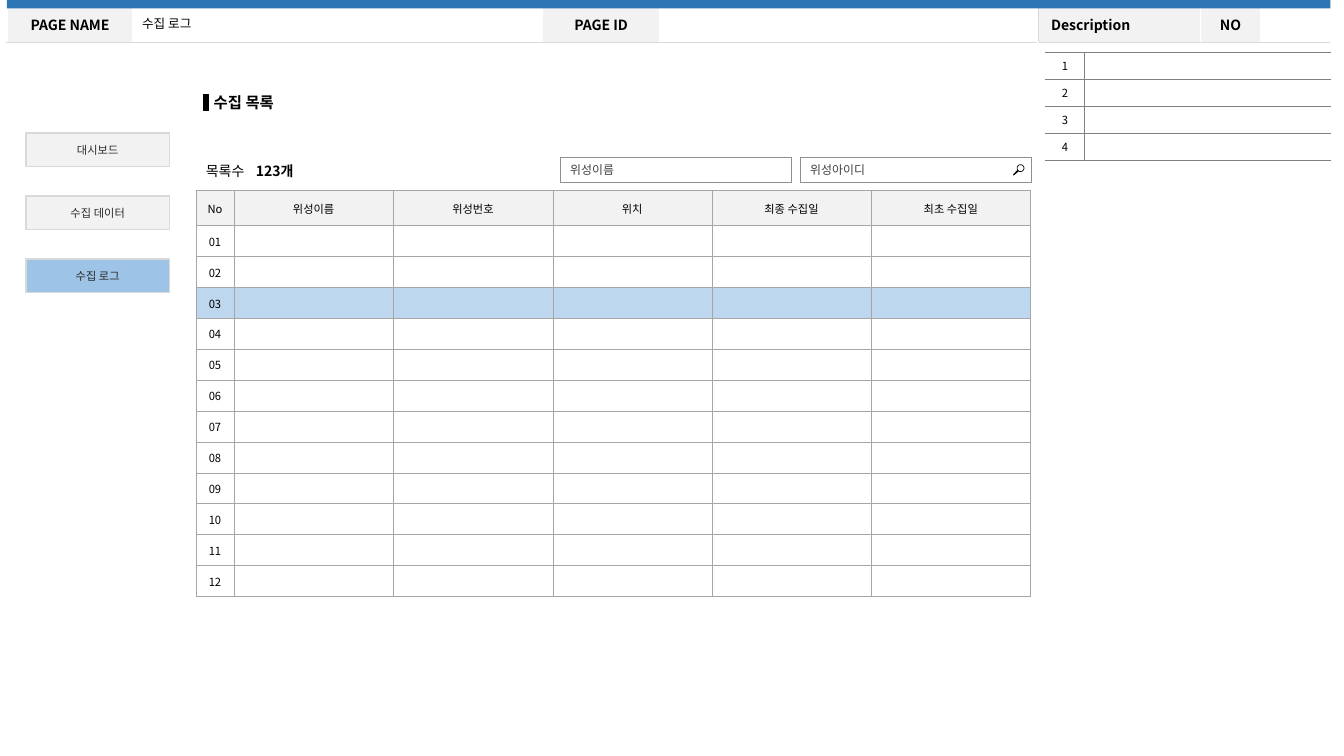
"""Build the collection log screen specification slide."""
import math
from lxml import etree
from pptx import Presentation, util as u
from pptx.dml import color
from pptx.enum import shapes, text
from pptx.oxml import ns

PAGE_NAME = "수집 로그"
HEADING = "수집 목록"
COUNT = [("목록수\t", False), ("123개", True)]
MENU = [("대시보드", "F2F2F2"), ("수집 데이터", "F2F2F2"), ("수집 로그", "9DC3E6")]
SEARCHES = ["위성이름", "위성아이디"]
HEADER = ["PAGE NAME", "", "PAGE ID", "", "Description", "NO", ""]
NOTES = [[str(number), ""] for number in range(1, 5)]
COLUMNS = ["No", "위성이름", "위성번호", "위치", "최종 수집일", "최초 수집일"]
LOG = [COLUMNS] + [[f"{number:02}"] + [""] * 5 for number in range(1, 13)]
SELECTED = 3

FONT = "Noto Sans CJK KR"
WHITE, PALE, BLACK = "FFFFFF", "F2F2F2", "000000"
WHITE_EDGE, PALE_EDGE = (WHITE, 1), ("D9D9D9", 0.25)
NOTE_EDGE, LOG_EDGE = ("808080", 0.25), ("A6A6A6", 0.25)
LEFT, CENTER = text.PP_ALIGN.LEFT, text.PP_ALIGN.CENTER
MIDDLE, TOP = text.MSO_ANCHOR.MIDDLE, text.MSO_ANCHOR.TOP
INSETS = (7.2, 3.6, 7.2, 3.6)
SIDES = ("left", "top", "right", "bottom")


def rgb(hex_code):
    """Turn a hex string into a colour."""
    return color.RGBColor.from_string(hex_code)


def apply(target, values):
    """Set each named attribute of the target."""
    for name, value in values.items():
        setattr(target, name, value)


def margins(insets):
    """Name the four insets as margin attributes."""
    return {f"margin_{side}": u.Pt(inset) for side, inset in zip(SIDES, insets)}


def place(shape, box):
    """Move and size a shape."""
    apply(shape, dict(zip(("left", "top", "width", "height"), map(u.Pt, box))))


def write(frame, runs, size, ink=BLACK, font=FONT, align=LEFT, spacing=1.0):
    """Write (words, bold) runs as the only paragraph."""
    line = frame.paragraphs[0]
    apply(line, {"alignment": align, "line_spacing": spacing, "space_before": u.Pt(0)})
    for words, bold in runs:
        run = line.add_run()
        run.text = words
        apply(run.font, {"size": u.Pt(size), "bold": bold, "name": font})
        run.font.color.rgb = rgb(ink)
        etree.SubElement(run.font._element, ns.qn("a:ea"), typeface=font)
    if not runs:
        etree.SubElement(line._p, ns.qn("a:endParaRPr"), sz=str(size * 100))
    return line


def label(shape, runs, size, anchor=MIDDLE, insets=INSETS, **look):
    """Format the text frame of a shape and write in it."""
    frame = shape.text_frame
    apply(frame, {"word_wrap": True, "auto_size": text.MSO_AUTO_SIZE.NONE,
                  "vertical_anchor": anchor, **margins(insets)})
    return write(frame, runs, size, **look)


def paint(shape, fill, edge=None):
    """Set the fill and the outline."""
    shape.shadow.inherit = False
    shape.fill.solid()
    shape.fill.fore_color.rgb = rgb(fill)
    if edge:
        shape.line.color.rgb = rgb(edge[0])
        shape.line.width = u.Pt(edge[1])
    else:
        shape.line.fill.background()


def block(box, fill, edge=None, kind=shapes.MSO_SHAPE.RECTANGLE):
    """Add a painted preset shape."""
    shape = slide.shapes.add_shape(kind, *map(u.Pt, box))
    paint(shape, fill, edge)
    return shape


def grid(at, widths, heights, rows, size, fill, edges, insets=INSETS, bold=False,
         align=lambda c: CENTER, spacing=1.0):
    """Add a table whose fill, edges and alignment follow cell rules."""
    box = (*at, sum(widths), sum(heights))
    table = slide.shapes.add_table(len(heights), len(widths), *map(u.Pt, box)).table
    apply(table, {"first_row": False, "horz_banding": False})
    for column, width in zip(table.columns, widths):
        column.width = u.Pt(width)
    for r, (height, row) in enumerate(zip(heights, rows)):
        table.rows[r].height = u.Pt(height)
        for c, words in enumerate(row):
            cell = table.cell(r, c)
            apply(cell, {"vertical_anchor": MIDDLE, **margins(insets)})
            write(cell.text_frame, [(words, bold)] if words else [], size,
                  align=align(c), spacing=spacing)
            shade = fill(r, c)
            if shade:
                cell.fill.solid()
                cell.fill.fore_color.rgb = rgb(shade)
            else:
                cell.fill.background()
            border(cell, edges(r, c))
    return table


def border(cell, edges):
    """Draw the left, right, top and bottom edges of a cell."""
    properties = cell._tc.get_or_add_tcPr()
    for position, (side, edge) in enumerate(zip("LRTB", edges)):
        line = etree.Element(ns.qn(f"a:ln{side}"), w=str(u.Pt(edge[1] if edge else 0)))
        if edge:
            solid = etree.SubElement(line, ns.qn("a:solidFill"))
            etree.SubElement(solid, ns.qn("a:srgbClr"), val=edge[0])
        else:
            etree.SubElement(line, ns.qn("a:noFill"))
        properties.insert(position, line)


def circle(x, y, radius, start, end):
    """Give points along an arc in ten-degree steps."""
    turns = [math.radians(angle) for angle in range(start, end + 1, 10)]
    return [(u.Pt(x + radius * math.cos(a)), u.Pt(y + radius * math.sin(a))) for a in turns]


def magnifier(x, y):
    """Draw a lens ring with a handle to the lower left."""
    rim = circle(x, y, 2.7, 150, 480)
    handle = [(u.Pt(x + dx), u.Pt(y + dy)) for dx, dy in ((-4.9, 5.2), (-5.4, 4.7))]
    lens = circle(x, y, 2.2, 0, 360)[::-1]
    builder = slide.shapes.build_freeform(*rim[0], scale=1.0)
    builder.add_line_segments(rim[1:] + handle, close=True)
    builder.move_to(*lens[0])
    builder.add_line_segments(lens[1:], close=True)
    paint(builder.convert_to_shape(), BLACK)


def header_edges(r, c):
    """Give grey edges under the header and beside the description."""
    grey = (c == 4, c == 3, r == 1, r == 0)
    return [PALE_EDGE if shown else WHITE_EDGE for shown in grey]


deck = Presentation()
apply(deck, {"slide_width": u.Pt(960), "slide_height": u.Pt(540)})
slide = deck.slides.add_slide(deck.slide_layouts[2])
heading, page_name = slide.placeholders

frame = grid((5, 5), (90, 292.3, 84.2, 270, 115.9, 43.2, 49), (25.2, 504),
             [HEADER, [""] * 7], 10, lambda r, c: PALE if r == 0 and HEADER[c] else None,
             header_edges, (9.4, 5, 9.4, 5), True, lambda c: LEFT if c == 4 else CENTER)
for first, last in ((0, 3), (4, 6)):
    frame.cell(1, first).merge(frame.cell(1, last))
block((5, 0, 945.4, 6), "2E75B6")

place(page_name, (94.3, 8.6, 289.4, 17.3))
label(page_name, [(PAGE_NAME, False)], 9, spacing=0.9)
place(heading, (145.4, 62.6, 62.6, 20.9))
label(heading, [(HEADING, True)], 11, TOP)
block((145.4, 67.7, 3.6, 11.5), BLACK, (BLACK, 1))

grid((746.6, 37.4), (28.1, 175.7), [19.2] * 4, NOTES, 8, lambda r, c: None,
     lambda r, c: [NOTE_EDGE if c else None, None if c else NOTE_EDGE, NOTE_EDGE, NOTE_EDGE],
     spacing=u.Pt(12))

for place_in_menu, (name, fill) in enumerate(MENU):
    button = block((18.7, 95 + 45 * place_in_menu, 102.2, 23.8), fill, ("D9D9D9", 1),
                   shapes.MSO_SHAPE.ROUNDED_RECTANGLE)
    button.adjustments[0] = 0
    label(button, [(name, False)], 8, insets=[2.9] * 4, ink="292929", font="Calibri",
          align=CENTER)

count = slide.shapes.add_textbox(*map(u.Pt, (140, 112.3, 86, 19.4)))
count_line = label(count, COUNT, 10, TOP)
tabs = etree.SubElement(count_line._p.get_or_add_pPr(), ns.qn("a:tabLst"))
etree.SubElement(tabs, ns.qn("a:tab"), pos=str(u.Pt(35.7)), algn="l")

for order, hint in enumerate(SEARCHES):
    field = block((400.2 + 171.4 * order, 112.3, 164.9, 18), WHITE, ("8F8F8F", 0.25))
    label(field, [(hint, False)], 8.5, insets=(7.2, 3.6, 18, 3.6), ink="404040")
magnifier(729, 120.1)

grid((140, 136.1), [27.2] + [113.8] * 5, [24.9] + [22.1] * 12, LOG, 8,
     lambda r, c: {0: PALE, SELECTED: "BDD7EE"}.get(r, WHITE),
     lambda r, c: [LOG_EDGE] * 4, (0.7, 0.7, 0.7, 0))

deck.save("out.pptx")
